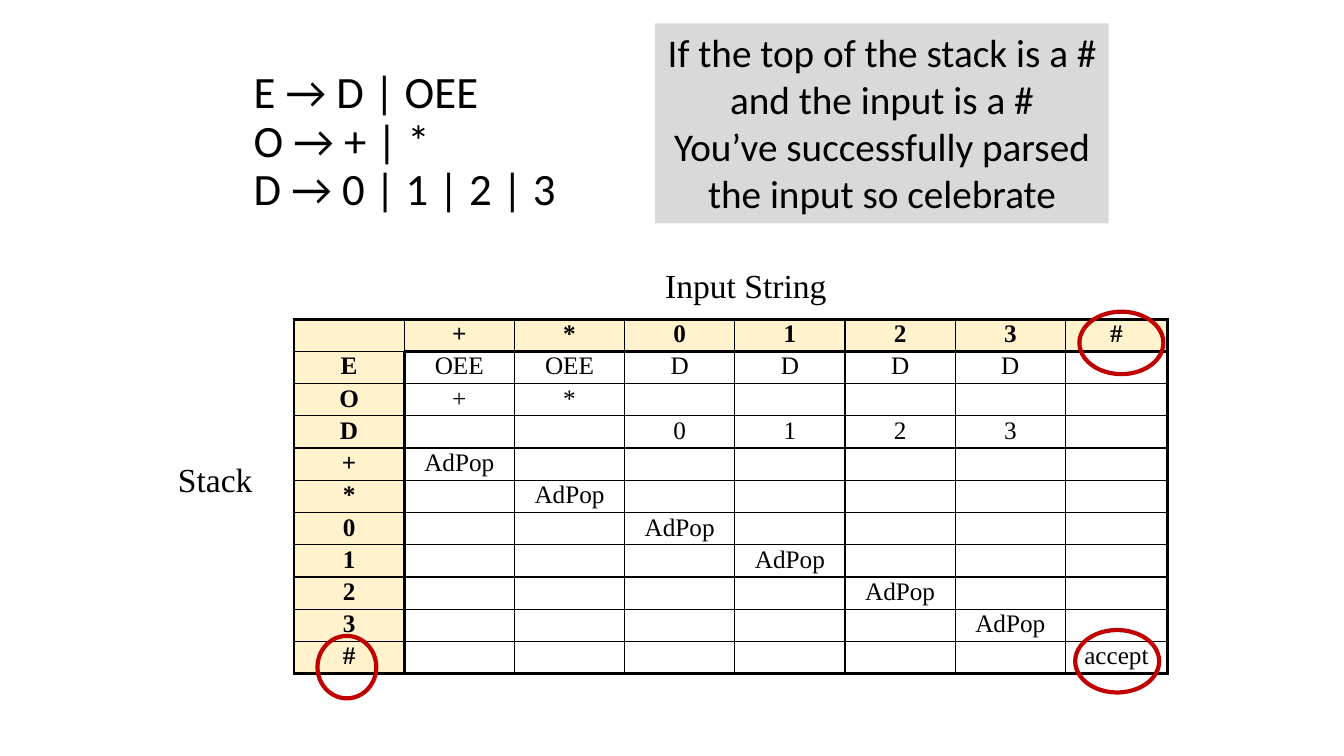
from dataclasses import dataclass

from lxml.etree import SubElement
from pptx import Presentation
from pptx.dml.color import RGBColor
from pptx.enum.shapes import MSO_SHAPE
from pptx.enum.text import MSO_ANCHOR, MSO_AUTO_SIZE, PP_ALIGN
from pptx.oxml.ns import qn
from pptx.shapes.base import BaseShape
from pptx.slide import Slide
from pptx.table import Table, _Cell
from pptx.text.text import _Paragraph
from pptx.util import Inches, Pt

BLACK = RGBColor(0x00, 0x00, 0x00)
CREAM = RGBColor(0xFF, 0xF2, 0xCC)
GREY = RGBColor(0xD9, 0xD9, 0xD9)
RED = RGBColor(0xC0, 0x00, 0x00)

SANS = "Calibri"
SERIF = "Times New Roman"

# The slide is a grid of 160 columns by 90 rows of square units.
GRID_COLUMNS, GRID_ROWS = 160, 90
UNIT = Inches(7.5) / GRID_ROWS

THIN, HEAVY = Pt(1), Pt(2.25)

GRAMMAR = "E → D | OEE\vO → + | *\vD → 0 | 1 | 2 | 3"
RULE_LINES = [
    "If the top of the stack is a #",
    "and the input is a #",
    "You’ve successfully parsed",
    "the input so celebrate",
]

INPUT_SYMBOLS = "+*0123#"
STACK_SYMBOLS = "EOD+*0123#"
ACTIONS = {
    **{("E", symbol): "OEE" for symbol in "+*"},
    **{("E", digit): "D" for digit in "0123"},
    **{("O", symbol): symbol for symbol in "+*"},
    **{("D", digit): digit for digit in "0123"},
    **{(symbol, symbol): "AdPop" for symbol in "+*0123"},
    ("#", "#"): "accept",
}


@dataclass(frozen=True)
class Box:
    """A rectangle in grid units."""
    left: float
    top: float
    width: float
    height: float

    def emu(self) -> tuple[int, int, int, int]:
        return tuple(round(length * UNIT) for length in
                     (self.left, self.top, self.width, self.height))


@dataclass(frozen=True)
class Label:
    text: str
    box: Box


TITLE_BOX = Box(29, 5, 56, 24)
RULE_BOX = Box(78, 2.8, 54, 23.8)
TABLE_BOX = Box(35, 38, 104, 42.24)
LAST_COLUMN_WIDTH = 12.16
LABELS = [
    Label("Stack", Box(20, 54, 15, 6)),
    Label("Input String", Box(78, 31, 26, 6)),
]
RINGS = [
    Box(37.8, 75.7, 7, 7.44),
    Box(128.5, 37.1, 10, 7.44),
    Box(128, 75, 10, 7.44),
]


def style_paragraph(paragraph: _Paragraph, font_name: str, size: int,
                    alignment: PP_ALIGN, bold: bool = False) -> None:
    paragraph.alignment = alignment
    font = paragraph.font
    font.name, font.size, font.bold = font_name, Pt(size), bold
    font.color.rgb = BLACK


def place(shape: BaseShape, box: Box) -> None:
    shape.left, shape.top, shape.width, shape.height = box.emu()


def add_grammar(slide: Slide) -> None:
    title = slide.shapes.title
    place(title, TITLE_BOX)
    frame = title.text_frame
    frame.text = GRAMMAR
    frame.auto_size = MSO_AUTO_SIZE.NONE
    frame.vertical_anchor = MSO_ANCHOR.MIDDLE
    paragraph = frame.paragraphs[0]
    paragraph.line_spacing = 0.9
    style_paragraph(paragraph, SANS, 32, PP_ALIGN.LEFT)


def draw_borders(cell: _Cell, weights: dict[str, int]) -> None:
    properties = cell._tc.get_or_add_tcPr()
    for side, width in weights.items():
        line = SubElement(properties, qn(f"a:ln{side}"), w=str(width))
        fill = SubElement(line, qn("a:solidFill"))
        SubElement(fill, qn("a:srgbClr"), val=str(BLACK))


def border_weights(table: Table, row: int, column: int) -> dict[str, int]:
    """Heavy lines frame the table and part the headings from the body."""
    heavy = {
        "L": column == 0 or (column == 1 and row > 0),
        "R": column == len(table.columns) - 1 or (column == 0 and row > 0),
        "T": row == 0 or (row == 1 and column > 0),
        "B": row == len(table.rows) - 1 or (row == 0 and column > 0),
    }
    return {side: HEAVY if is_heavy else THIN for side, is_heavy in heavy.items()}


def add_parse_table(slide: Slide) -> None:
    contents = [["", *INPUT_SYMBOLS]]
    for stack in STACK_SYMBOLS:
        contents.append([stack, *(ACTIONS.get((stack, symbol), "")
                                  for symbol in INPUT_SYMBOLS)])

    row_count, column_count = len(contents), len(contents[0])
    table = slide.shapes.add_table(row_count, column_count, *TABLE_BOX.emu()).table
    table.first_row = table.horz_banding = False

    column_width = (TABLE_BOX.width - LAST_COLUMN_WIDTH) / (column_count - 1)
    for column in table.columns:
        column.width = round(column_width * UNIT)
    table.columns[column_count - 1].width = round(LAST_COLUMN_WIDTH * UNIT)
    for row in table.rows:
        row.height = round(TABLE_BOX.height / row_count * UNIT)

    for row, texts in enumerate(contents):
        for column, text in enumerate(texts):
            cell = table.cell(row, column)
            is_heading = row == 0 or column == 0
            cell.margin_top = cell.margin_bottom = Inches(0.01)
            draw_borders(cell, border_weights(table, row, column))
            if is_heading:
                cell.fill.solid()
                cell.fill.fore_color.rgb = CREAM
            else:
                cell.fill.background()
            cell.text = text
            style_paragraph(cell.text_frame.paragraphs[0], SERIF, 18,
                            PP_ALIGN.CENTER, bold=is_heading)


def add_label(slide: Slide, label: Label) -> None:
    frame = slide.shapes.add_textbox(*label.box.emu()).text_frame
    frame.word_wrap = True
    frame.text = label.text
    style_paragraph(frame.paragraphs[0], SERIF, 24, PP_ALIGN.LEFT)


def add_rule(slide: Slide) -> None:
    panel = slide.shapes.add_shape(MSO_SHAPE.RECTANGLE, *RULE_BOX.emu())
    panel.shadow.inherit = False
    panel.fill.solid()
    panel.fill.fore_color.rgb = GREY
    panel.line.fill.background()
    frame = panel.text_frame
    frame.word_wrap = False
    frame.vertical_anchor = MSO_ANCHOR.TOP
    frame.text = "\n".join(RULE_LINES)
    for paragraph in frame.paragraphs:
        style_paragraph(paragraph, SANS, 28, PP_ALIGN.CENTER)


def add_ring(slide: Slide, box: Box) -> None:
    ring = slide.shapes.add_shape(MSO_SHAPE.OVAL, *box.emu())
    ring.shadow.inherit = False
    ring.fill.background()
    ring.line.color.rgb = RED
    ring.line.width = Pt(3)


def main() -> None:
    presentation = Presentation()
    presentation.slide_width = round(GRID_COLUMNS * UNIT)
    presentation.slide_height = round(GRID_ROWS * UNIT)
    slide = presentation.slides.add_slide(
        presentation.slide_layouts.get_by_name("Title Only"))
    add_grammar(slide)
    add_parse_table(slide)
    for label in LABELS:
        add_label(slide, label)
    add_rule(slide)
    for ring in RINGS:
        add_ring(slide, ring)
    presentation.save("out.pptx")


if __name__ == "__main__":
    main()
